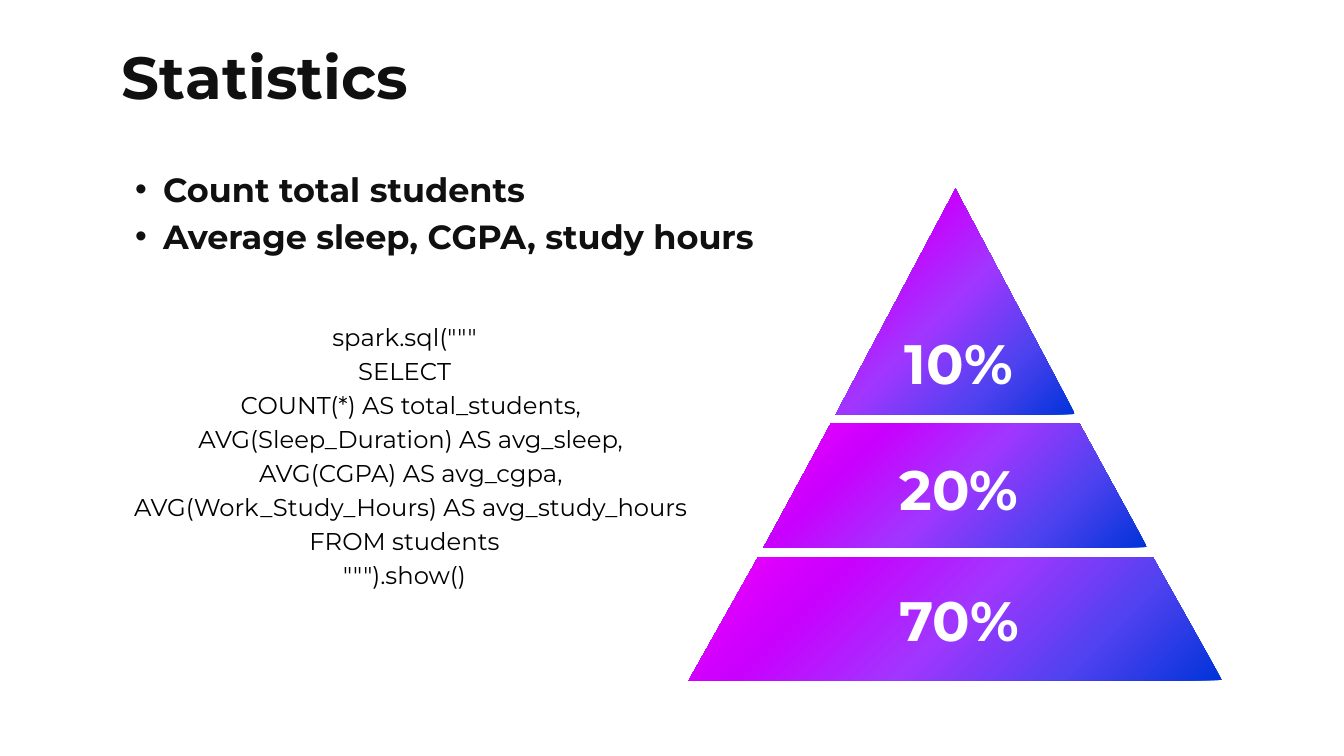
import pptx
import pptx.dml.color
import pptx.enum.text
import pptx.oxml
import pptx.oxml.ns
import pptx.util

PX = 9525
LEFT = pptx.enum.text.PP_ALIGN.LEFT
CENTER = pptx.enum.text.PP_ALIGN.CENTER
STOPS = ["F600FE", "C900FE", "A136FF", "5142F0", "0033D9"]
TIERS = [
    [(1365, 270), (1194, 592), (1536, 592)],
    [(1187, 605), (1091, 782), (1639, 782), (1542, 605)],
    [(1083, 796), (984, 972), (1746, 972), (1647, 796)],
]
SHARES = [("10%", (1239, 454, 261, 108)),
          ("20%", (1194, 634, 352, 108)),
          ("70%", (1194, 821, 352, 108))]
QUERY = '''spark.sql("""
SELECT
  COUNT(*) AS total_students,
  AVG(Sleep_Duration) AS avg_sleep,
  AVG(CGPA) AS avg_cgpa,
  AVG(Work_Study_Hours) AS avg_study_hours
FROM students
""").show()'''


def rgb(value):
    return pptx.dml.color.RGBColor.from_string(value)


def write(tf, text, size=26, leading=36.4, color="101010", bold=False,
          align=LEFT, bullet=None):
    tf.word_wrap = True
    tf.auto_size = pptx.enum.text.MSO_AUTO_SIZE.NONE
    tf.vertical_anchor = pptx.enum.text.MSO_ANCHOR.TOP
    tf.margin_left = tf.margin_top = tf.margin_right = tf.margin_bottom = 0
    for i, line in enumerate(text.split("\n")):
        p = tf.add_paragraph() if i else tf.paragraphs[0]
        if bullet:
            p.level = 1
            pPr = p._p.get_or_add_pPr()
            pPr.set("marL", str(82 * PX))
            pPr.set("indent", str(-40 * PX))
            bu = pPr.makeelement(pptx.oxml.ns.qn("a:buChar"), {"char": bullet})
            pPr.append(bu)
        p.alignment = align
        p.line_spacing = pptx.util.Pt(leading)
        p.space_before = pptx.util.Pt(0)
        r = p.add_run()
        r.text = line
        r.font.name = "Montserrat"
        r.font.size = pptx.util.Pt(size)
        r.font.bold = bold
        r.font.color.rgb = rgb(color)


class Deck:
    """Hold the presentation style and the current slide."""

    def __init__(self, width, height):
        self.prs = pptx.Presentation()
        self.prs.slide_width = width * PX
        self.prs.slide_height = height * PX
        self.s = self.prs.slides.add_slide(self.prs.slide_layouts[1])
        self.s.background.fill.solid()
        self.s.background.fill.fore_color.rgb = rgb("FFFFFF")

    def placeholder(self, idx, box, text, **style):
        sp = self.s.placeholders[idx]
        sp.left, sp.top, sp.width, sp.height = (v * PX for v in box)
        write(sp.text_frame, text, **style)

    def text(self, box, text, **style):
        sp = self.s.shapes.add_textbox(*(v * PX for v in box))
        write(sp.text_frame, text, **style)

    def tier(self, points):
        fb = self.s.shapes.build_freeform(*points[0], scale=PX)
        fb.add_line_segments(points[1:], close=True)
        sp = fb.convert_to_shape()
        sp.shadow.inherit = False
        sp.line.fill.background()
        stops = "".join(
            f'<a:gs pos="{i * 25000}"><a:srgbClr val="{c}"/></a:gs>'
            for i, c in enumerate(STOPS))
        grad = pptx.oxml.parse_xml(
            f'<a:gradFill {pptx.oxml.ns.nsdecls("a")} rotWithShape="1">'
            f'<a:gsLst>{stops}</a:gsLst><a:path path="circle">'
            '<a:fillToRect l="0" t="0" r="100000" b="100000"/></a:path>'
            '</a:gradFill>')
        sp._element.spPr.find(pptx.oxml.ns.qn("a:custGeom")).addnext(grad)


def main():
    deck = Deck(1920, 1080)
    for points in TIERS:
        deck.tier(points)
    for share, box in SHARES:
        deck.text(box, share, size=59.4, leading=83.2, color="FFFFFF",
                  bold=True, align=CENTER)
    deck.placeholder(0, (174, 57, 831, 102), "Statistics",
                     size=63.7, leading=76.4, bold=True)
    deck.placeholder(1, (151, 232, 1005, 199),
                     "Count total students\nAverage sleep, CGPA, study hours",
                     size=35.9, leading=50.3, bold=True, bullet="•")
    deck.text((151, 453, 854, 382), QUERY, color="000000", align=CENTER)
    deck.prs.save("out.pptx")


if __name__ == "__main__":
    main()
